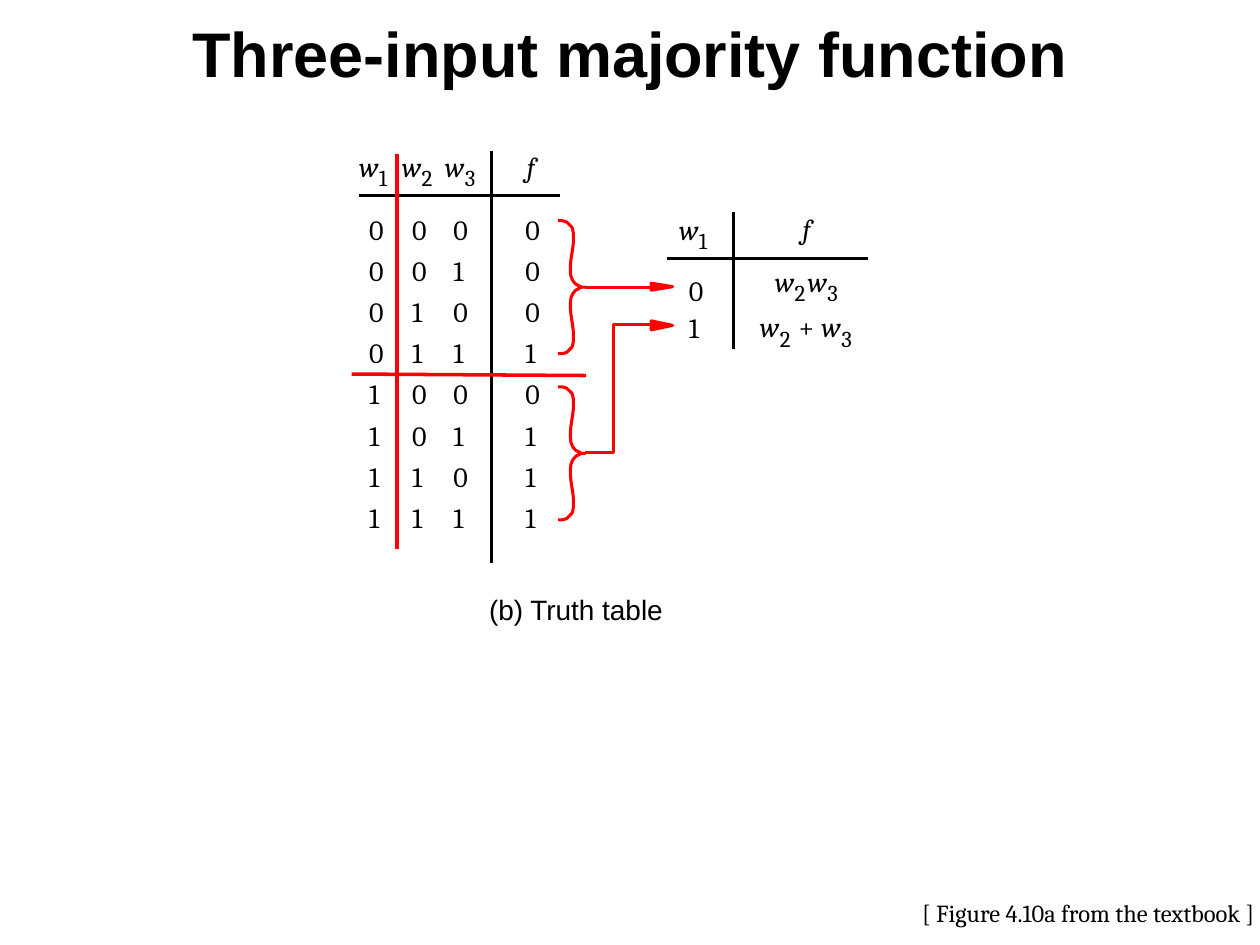
"""Build a slide reducing the three-input majority truth table to one in w1."""
from dataclasses import dataclass
from lxml import etree
from pptx import Presentation
from pptx.dml.color import RGBColor
from pptx.enum.shapes import MSO_CONNECTOR
from pptx.enum.text import MSO_ANCHOR, MSO_AUTO_SIZE, PP_ALIGN
from pptx.oxml.ns import qn
from pptx.util import Cm, Pt

STRAIGHT = MSO_CONNECTOR.STRAIGHT
MIDDLE = MSO_ANCHOR.MIDDLE
GROW, FIXED = MSO_AUTO_SIZE.SHAPE_TO_FIT_TEXT, MSO_AUTO_SIZE.NONE
LEFT, CENTER = PP_ALIGN.LEFT, PP_ALIGN.CENTER


@dataclass(frozen=True)
class Theme:
    ink: RGBColor = RGBColor(0, 0, 0)
    accent: RGBColor = RGBColor(255, 0, 0)
    math_font: str = "Cambria"
    plain_font: str = "Arial"
    title_size: int = 36
    body_size: int = 16
    credit_size: int = 14
    index_size: int = 13
    hairline: float = 0
    medium: float = 1.75
    thick: float = 2


THEME = Theme()

TITLE = "Three-input majority function"
CAPTION = "(b) Truth table"
CREDIT = "[ Figure 4.10a from the textbook ]"

TRUTH_ROWS = ["0000", "0010", "0100", "0111", "1000", "1011", "1101", "1111"]
COLUMN_LEFTS = [7.44, 8.31, 9.14, 10.59]
FIRST_ROW_TOP, ROW_STEP = 4.28, 0.83

SYMBOLS = [
    ("w1", 7.24, 3.02), ("w2", 8.1, 3.02), ("w3", 8.97, 3.02), ("f", 10.62, 3.02),
    ("w1", 13.69, 4.29), ("f", 16.18, 4.27),
    ("0", 13.89, 5.51), ("w2", 15.62, 5.33), ("w3", 16.28, 5.33),
    ("1", 13.89, 6.27), ("w2", 15.32, 6.25), ("+", 16.1, 6.25), ("w3", 16.56, 6.25),
]
SYMBOL_WIDTHS = {"w": 0.51, "f": 0.3, "+": 0.46, "0": 0.43, "1": 0.43}
SYMBOL_HEIGHT = 0.69
INDEX_SHIFT, INDEX_DROP = 0.4, 0.29
INDEX_WIDTH, INDEX_HEIGHT = 0.36, 0.56

LINES = [
    ((11.28, 3.94), (7.24, 3.94), THEME.ink, THEME.hairline),
    ((9.91, 11.35), (9.91, 3.05), THEME.ink, THEME.hairline),
    ((17.5, 5.21), (13.44, 5.21), THEME.ink, THEME.medium),
    ((14.78, 7.04), (14.78, 4.27), THEME.ink, THEME.medium),
    ((8, 3.1), (8, 11.07), THEME.accent, THEME.thick),
    ((7.09, 7.54), (11.81, 7.57), THEME.accent, THEME.thick),
    ((13.13, 5.79), (11.79, 5.79), THEME.accent, THEME.medium),
]
ELBOW = [(13.13, 6.54), (12.37, 6.54), (12.37, 9.13), (11.79, 9.13)]

BRACE_LEFT, BRACE_TOPS = 11.25, [4.45, 7.8]
HALF_BRACE = [
    (0, 0), (0.08, 0), (0.13, 0.01), (0.18, 0.03), (0.2, 0.05), (0.23, 0.08),
    (0.27, 0.12), (0.29, 0.15), (0.3, 0.2), (0.31, 0.25), (0.31, 0.3),
    (0.31, 0.43), (0.3, 0.53), (0.28, 0.66), (0.26, 0.79), (0.25, 0.91),
    (0.25, 1.02), (0.26, 1.12), (0.28, 1.17), (0.3, 1.21), (0.33, 1.25),
    (0.36, 1.28), (0.38, 1.29), (0.43, 1.32), (0.48, 1.34), (0.55, 1.34),
]
HEAD_LEFT, HEAD_TIP = 13.13, 13.56
HEADS = [(5.78, 0.07), (6.56, 0.09)]


def write(box, text, size=THEME.body_size, font=THEME.math_font, bold=False,
          italic=False, align=LEFT, wrap=False, auto_size=GROW, inset=0):
    frame = box.text_frame
    frame.word_wrap, frame.auto_size = wrap, auto_size
    if inset is not None:
        frame.margin_left = frame.margin_right = Cm(inset)
        frame.margin_top = frame.margin_bottom = Cm(inset)
    para = frame.paragraphs[0]
    para.alignment = align
    span = para.add_run()
    span.text = text
    span.font.size, span.font.name = Pt(size), font
    span.font.bold, span.font.italic = bold, italic
    span.font.color.rgb = THEME.ink


def add_text(page, text, left, top, width, height, **style):
    box = page.shapes.add_textbox(Cm(left), Cm(top), Cm(width), Cm(height))
    write(box, text, **style)


def add_symbol(page, symbol, left, top):
    letter, index = symbol[0], symbol[1:]
    add_text(page, letter, left, top, SYMBOL_WIDTHS[letter], SYMBOL_HEIGHT,
             italic=letter.isalpha())
    if index:
        add_text(page, index, left + INDEX_SHIFT, top + INDEX_DROP,
                 INDEX_WIDTH, INDEX_HEIGHT, size=THEME.index_size)


def add_line(page, start, end, color, width):
    line = page.shapes.add_connector(STRAIGHT, *map(Cm, start + end))
    line.line.color.rgb, line.line.width = color, Pt(width)
    etree.SubElement(line._element.spPr, qn("a:effectLst"))


def add_outline(page, points, closed=False):
    corners = [(Cm(x), Cm(y)) for x, y in points]
    builder = page.shapes.build_freeform(*corners[0])
    builder.add_line_segments(corners[1:], close=closed)
    shape = builder.convert_to_shape()
    shape.shadow.inherit = False
    shape.line.color.rgb, shape.line.width = THEME.accent, Pt(THEME.medium)
    if closed:
        shape.fill.solid()
        shape.fill.fore_color.rgb = THEME.accent
    else:
        shape.fill.background()


def add_brace(page, top):
    height = 2 * HALF_BRACE[-1][1]
    lower = [(x, height - y) for x, y in reversed(HALF_BRACE[:-1])]
    add_outline(page, [(BRACE_LEFT + x, top + y) for x, y in HALF_BRACE + lower])


def add_title(page):
    title = page.shapes.title
    title.left, title.top, title.width, title.height = map(Cm, (0, 0, 25.4, 2.11))
    write(title, TITLE, size=THEME.title_size, font=THEME.plain_font, bold=True,
          align=CENTER, wrap=True, auto_size=FIXED, inset=None)
    title.text_frame.vertical_anchor = MIDDLE


def main():
    deck = Presentation()
    deck.slide_width, deck.slide_height = Cm(25.4), Cm(19.05)
    page = deck.slides.add_slide(deck.slide_layouts[5])
    add_title(page)
    for line in LINES:
        add_line(page, *line)
    for row, digits in enumerate(TRUTH_ROWS):
        for left, digit in zip(COLUMN_LEFTS, digits):
            add_symbol(page, digit, left, FIRST_ROW_TOP + row * ROW_STEP)
    for symbol in SYMBOLS:
        add_symbol(page, *symbol)
    for top in BRACE_TOPS:
        add_brace(page, top)
    for middle, half in HEADS:
        add_outline(page, [(HEAD_LEFT, middle + half), (HEAD_TIP, middle),
                           (HEAD_LEFT, middle - half)], closed=True)
    add_outline(page, ELBOW)
    add_text(page, CAPTION, 9.86, 11.94, 3.71, 0.69, font=THEME.plain_font)
    add_text(page, CREDIT, 18.34, 17.98, 7.32, 0.86, size=THEME.credit_size, inset=None)
    deck.save("out.pptx")


if __name__ == "__main__":
    main()
